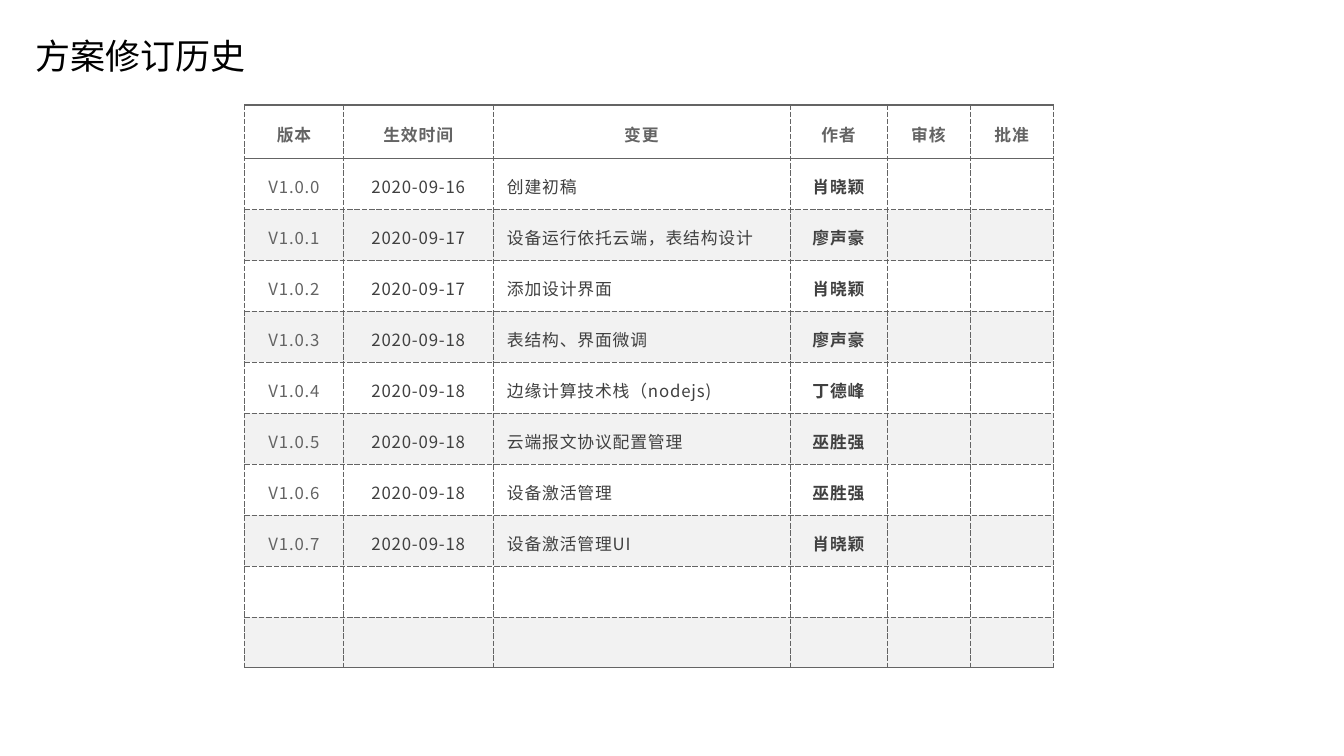
"""Build the revision history slide with its title and version table."""
from lxml.etree import SubElement
from pptx import Presentation
from pptx.dml.color import RGBColor
from pptx.enum.text import MSO_ANCHOR as Anchor, MSO_AUTO_SIZE as AutoSize, PP_ALIGN as Align
from pptx.oxml.ns import qn
from pptx.util import Pt

PX = 9144
FONT = "Noto Sans CJK SC"
COLORS = {
    "black": "000000",
    "gray": "646464",
    "dark": "404040",
    "white": "FFFFFF",
    "band": "F2F2F2",
}
THICK, THIN = (2.25, "solid"), (0.75, "sysDash")
COLUMN_WIDTHS = [197, 296, 590, 192, 165, 165]
HEADER_HEIGHT, ROW_HEIGHT = 107, 101
HEADERS = ["版本", "生效时间", "变更", "作者", "审核", "批准"]
REVISIONS = [
    ["V1.0.0", "2020-09-16", "创建初稿", "肖晓颖"],
    ["V1.0.1", "2020-09-17", "设备运行依托云端，表结构设计", "廖声豪"],
    ["V1.0.2", "2020-09-17", "添加设计界面", "肖晓颖"],
    ["V1.0.3", "2020-09-18", "表结构、界面微调", "廖声豪"],
    ["V1.0.4", "2020-09-18", "边缘计算技术栈（nodejs)", "丁德峰"],
    ["V1.0.5", "2020-09-18", "云端报文协议配置管理", "巫胜强"],
    ["V1.0.6", "2020-09-18", "设备激活管理", "巫胜强"],
    ["V1.0.7", "2020-09-18", "设备激活管理UI", "肖晓颖"],
]
EMPTY_ROWS = 2
HEADER_STYLE = {"color": "gray", "bold": True, "spacing": 130}
COLUMN_STYLES = [
    {"color": "gray"},
    {"color": "dark"},
    {"color": "dark", "align": Align.LEFT},
    {"color": "dark", "bold": True},
]


def set_attributes(target, values):
    for name, value in values.items():
        setattr(target, name, value)


class SlideBuilder:
    def __init__(self, presentation):
        self.slide = presentation.slides.add_slide(presentation.slide_layouts[5])

    def add_text(self, paragraph, text, size, color, bold=False, spacing=0, align=Align.CENTER):
        paragraph.alignment = align
        run = paragraph.add_run()
        run.text = text
        set_attributes(run.font, {"size": Pt(size), "bold": bold, "name": FONT})
        run.font.color.rgb = RGBColor.from_string(COLORS[color])
        properties = run._r.get_or_add_rPr()
        properties.set("spc", str(spacing))
        SubElement(properties, qn("a:ea"), typeface=FONT)

    def title(self, text, left, top, width, height):
        shape = self.slide.shapes.title
        bounds = {"left": left, "top": top, "width": width, "height": height}
        set_attributes(shape, {name: value * PX for name, value in bounds.items()})
        frame = shape.text_frame
        margins = dict.fromkeys(["margin_left", "margin_top", "margin_right", "margin_bottom"], 10 * PX)
        set_attributes(frame, {
            **margins,
            "word_wrap": False,
            "auto_size": AutoSize.SHAPE_TO_FIT_TEXT,
            "vertical_anchor": Anchor.TOP,
        })
        self.add_text(frame.paragraphs[0], text, 50, "black", align=Align.LEFT)

    def borders(self, cell, top, bottom):
        properties = cell._tc.get_or_add_tcPr()
        sides = {"a:lnL": THIN, "a:lnR": THIN, "a:lnT": top, "a:lnB": bottom}
        for index, (tag, (width, dash)) in enumerate(sides.items()):
            line = SubElement(properties, qn(tag), w=str(int(Pt(width))))
            fill = SubElement(line, qn("a:solidFill"))
            SubElement(fill, qn("a:srgbClr"), val=COLORS["gray"])
            SubElement(line, qn("a:prstDash"), val=dash)
            properties.insert(index, line)

    def cell(self, cell, text, fill, top, bottom, style):
        set_attributes(cell, {
            "margin_left": 28 * PX,
            "margin_right": 28 * PX,
            "margin_top": 19 * PX,
            "margin_bottom": 19 * PX,
            "vertical_anchor": Anchor.MIDDLE,
        })
        cell.fill.solid()
        cell.fill.fore_color.rgb = RGBColor.from_string(COLORS[fill])
        self.borders(cell, top, bottom)
        if text:
            paragraph = cell.text_frame.paragraphs[0]
            paragraph.line_spacing = 1.2
            self.add_text(paragraph, text, 24, **{"spacing": 120, **style})

    def table(self, left, top):
        column_count = len(COLUMN_WIDTHS)
        row_count = 1 + len(REVISIONS) + EMPTY_ROWS
        heights = [HEADER_HEIGHT] + [ROW_HEIGHT] * (row_count - 1)
        bounds = [value * PX for value in (left, top, sum(COLUMN_WIDTHS), sum(heights))]
        table = self.slide.shapes.add_table(row_count, column_count, *bounds).table
        set_attributes(table, {"first_row": False, "horz_banding": False})
        for column, width in zip(table.columns, COLUMN_WIDTHS):
            column.width = width * PX
        rules = [THICK, THICK] + [THIN] * (row_count - 2) + [THICK]
        texts = [HEADERS] + REVISIONS + [[]] * EMPTY_ROWS
        for row, height in enumerate(heights):
            table.rows[row].height = height * PX
            fill = "band" if row and row % 2 == 0 else "white"
            styles = COLUMN_STYLES if row else [HEADER_STYLE] * column_count
            for column in range(column_count):
                text = texts[row][column] if column < len(texts[row]) else ""
                style = styles[column] if text else {}
                self.cell(table.cell(row, column), text, fill, rules[row], rules[row + 1], style)


def main():
    presentation = Presentation()
    set_attributes(presentation, {"slide_width": 2667 * PX, "slide_height": 1500 * PX})
    builder = SlideBuilder(presentation)
    builder.title("方案修订历史", 61, 58, 437, 104)
    builder.table(485, 208)
    presentation.save("out.pptx")


if __name__ == "__main__":
    main()
